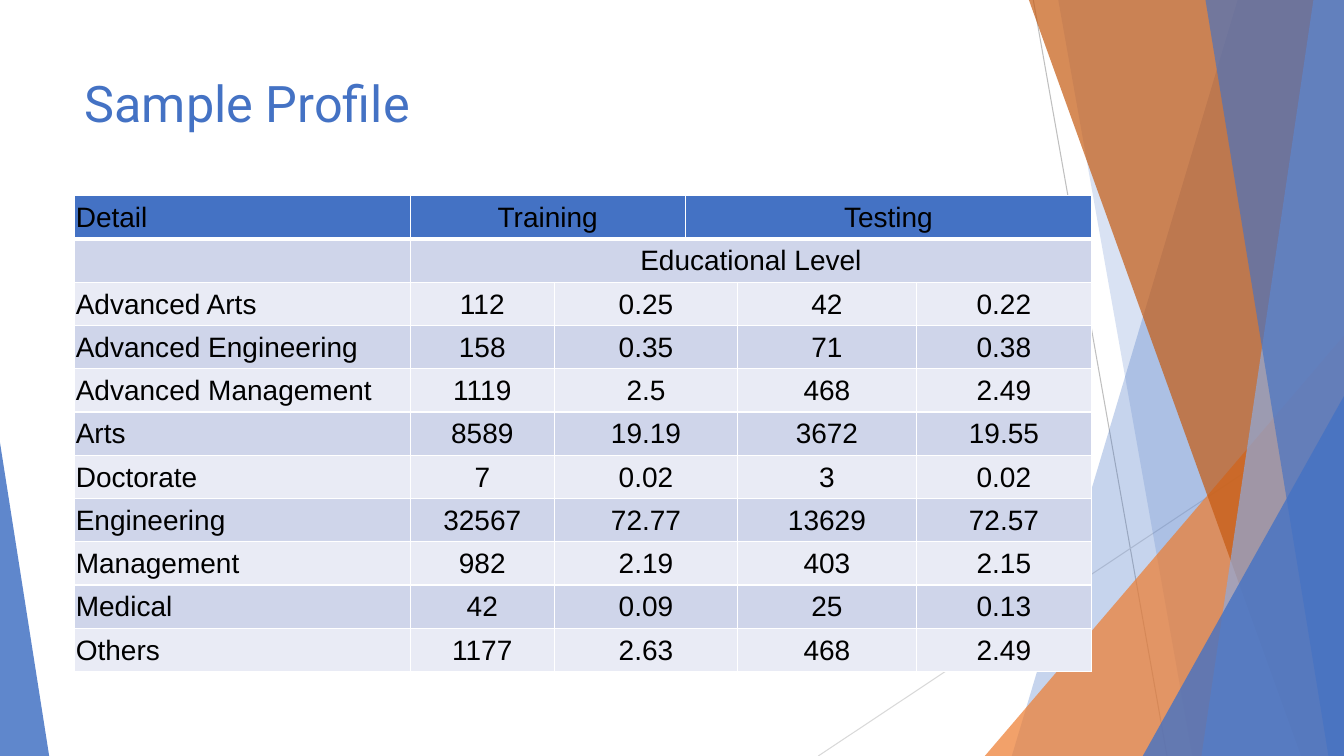
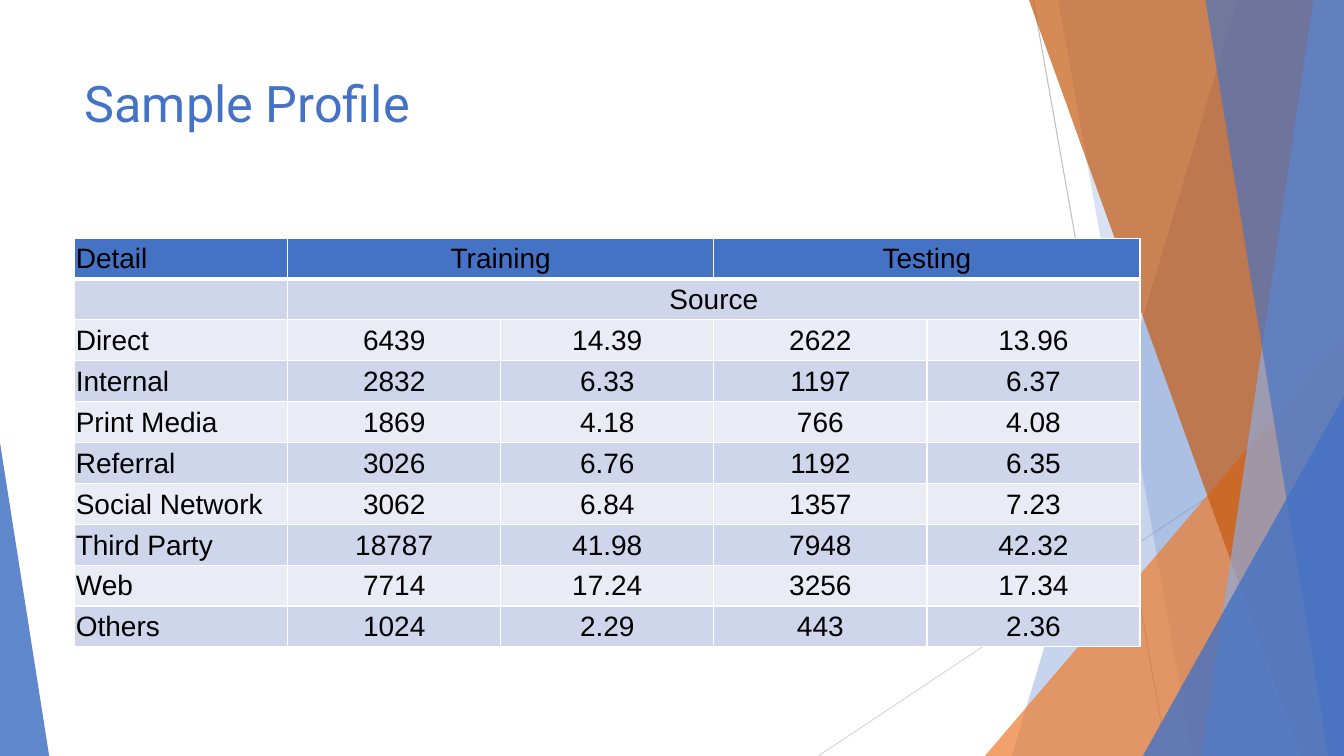
from itertools import pairwise

from lxml import etree
from pptx import Presentation
from pptx.dml.color import RGBColor
from pptx.enum.shapes import MSO_CONNECTOR, MSO_SHAPE
from pptx.enum.text import MSO_ANCHOR, PP_ALIGN
from pptx.oxml import parse_xml
from pptx.oxml.ns import nsdecls, qn
from pptx.util import Cm, Pt

STRAIGHT = MSO_CONNECTOR.STRAIGHT
TRIANGLE = MSO_SHAPE.ISOSCELES_TRIANGLE
TOP, MIDDLE = MSO_ANCHOR.TOP, MSO_ANCHOR.MIDDLE
LEFT, CENTER = PP_ALIGN.LEFT, PP_ALIGN.CENTER

BLACK = RGBColor(0x00, 0x00, 0x00)
BLUE = RGBColor(0x44, 0x72, 0xC4)
LIGHT_BLUE = RGBColor(0x8F, 0xAA, 0xDC)
ORANGE = RGBColor(0xED, 0x7D, 0x31)
DARK_ORANGE = RGBColor(0xC5, 0x5A, 0x11)
GREY = RGBColor(0xBF, 0xBF, 0xBF)
LIGHT_GREY = RGBColor(0xD9, 0xD9, 0xD9)
BAND_DARK = RGBColor(0xCF, 0xD5, 0xEA)
BAND_LIGHT = RGBColor(0xE9, 0xEB, 0xF5)

WIDTH, HEIGHT = 33.87, 19.05
MARGIN = 1.88

# Column starts tell where each cell of a row begins; it runs to the next start
profiles = [
    dict(
        title_height=1.98, top=4.93, row_height=1.09,
        widths=[8.46, 3.63, 3.3, 1.32, 4.5, 4.42],
        header_starts=[0, 1, 3], data_starts=[0, 1, 2, 4, 5],
        group="Educational Level",
        data=[
            ("Advanced Arts", "112", "0.25", "42", "0.22"),
            ("Advanced Engineering", "158", "0.35", "71", "0.38"),
            ("Advanced Management", "1119", "2.5", "468", "2.49"),
            ("Arts", "8589", "19.19", "3672", "19.55"),
            ("Doctorate", "7", "0.02", "3", "0.02"),
            ("Engineering", "32567", "72.77", "13629", "72.57"),
            ("Management", "982", "2.19", "403", "2.15"),
            ("Medical", "42", "0.09", "25", "0.13"),
            ("Others", "1177", "2.63", "468", "2.49"),
        ],
    ),
    dict(
        title_height=2.51, top=6, row_height=1.03,
        widths=[5.37] * 5,
        header_starts=[0, 1, 3], data_starts=[0, 1, 2, 3, 4],
        group="Source",
        data=[
            ("Direct", "6439", "14.39", "2622", "13.96"),
            ("Internal", "2832", "6.33", "1197", "6.37"),
            ("Print Media", "1869", "4.18", "766", "4.08"),
            ("Referral", "3026", "6.76", "1192", "6.35"),
            ("Social Network", "3062", "6.84", "1357", "7.23"),
            ("Third Party", "18787", "41.98", "7948", "42.32"),
            ("Web", "7714", "17.24", "3256", "17.34"),
            ("Others", "1024", "2.29", "443", "2.36"),
        ],
    ),
]


def paint(s, color, opacity):
    s.shadow.inherit = False
    s.fill.solid()
    s.fill.fore_color.rgb = color
    s.line.fill.background()
    rgb = s.element.xpath(".//a:srgbClr")[0]
    etree.SubElement(rgb, qn("a:alpha"), val=str(opacity * 1000))


def add_borders(cell, top, bottom):
    tcPr = cell._tc.get_or_add_tcPr()
    for side, points in (("L", 1), ("R", 1), ("T", top), ("B", bottom)):
        tcPr.append(parse_xml(
            f'<a:ln{side} {nsdecls("a")} w="{Pt(points)}"><a:solidFill>'
            f'<a:srgbClr val="FFFFFF"/></a:solidFill></a:ln{side}>'))


prs = Presentation()
prs.slide_width, prs.slide_height = Cm(WIDTH), Cm(HEIGHT)
layout = prs.slide_layouts[5]
slides = [prs.slides.add_slide(layout) for _ in profiles]
shapes = slides[0].shapes
decor = []

# Thin lines behind the ribbons
for x1, y1, x2, color in ((26.04, 0, 29.41, GREY), (WIDTH, 10.24, 20.62, LIGHT_GREY)):
    s = shapes.add_connector(STRAIGHT, Cm(x1), Cm(y1), Cm(x2), Cm(HEIGHT))
    s.line.color.rgb = color
    s.line.width = Pt(0.75)
    etree.SubElement(s.element.spPr, qn("a:effectLst"))
    decor.append(s)

# Ribbons reach the right edge: left x at the top, left x at the bottom.
# Triangles reach the bottom: left, top, right, side of the apex.
for kind, geometry, color, opacity in (
    ("ribbon", (31.19, 25.5), BLUE, 30),
    ("ribbon", (26.67, 30.05), BLUE, 20),
    ("triangle", (24.82, 8.46, WIDTH, 1), ORANGE, 72),
    ("ribbon", (25.93, 32.79), DARK_ORANGE, 70),
    ("ribbon", (33.1, 30.28), LIGHT_BLUE, 70),
    ("ribbon", (30.38, 33.48), BLUE, 65),
    ("triangle", (28.8, 9.98, WIDTH, 1), BLUE, 80),
    ("triangle", (0, 11.15, 1.24, 0), BLUE, 85),
):
    if kind == "ribbon":
        x_top, x_bottom = geometry
        outline = shapes.build_freeform(Cm(x_top), 0)
        outline.add_line_segments([(Cm(WIDTH), 0), (Cm(WIDTH), Cm(HEIGHT)),
                                   (Cm(x_bottom), Cm(HEIGHT))])
        s = outline.convert_to_shape()
    else:
        left, top, right, apex = geometry
        s = shapes.add_shape(TRIANGLE, Cm(left), Cm(top),
                             Cm(right - left), Cm(HEIGHT - top))
        s.adjustments[0] = apex
    paint(s, color, opacity)
    decor.append(s)

# Both slides share the decoration through the layout
for i, s in enumerate(decor):
    s.element.xpath(".//p:cNvPr")[0].set("id", str(100 + i))
    layout.shapes.element.insert(2 + i, s.element)

for slide, profile in zip(slides, profiles):
    # Title
    title = slide.shapes.title
    title.left, title.top = Cm(MARGIN), Cm(1.7)
    title.width, title.height = Cm(23.88), Cm(profile["title_height"])
    tf = title.text_frame
    tf.text = "Sample Profile"
    tf.vertical_anchor = TOP
    p = tf.paragraphs[0]
    p.alignment = LEFT
    font = p.runs[0].font
    font.name, font.size, font.color.rgb = "Roboto", Pt(36), BLUE

    # Table grid
    widths = profile["widths"]
    rows = [(profile["header_starts"], ("Detail", "Training", "Testing")),
            ([0, 1], ("", profile["group"]))]
    rows += [(profile["data_starts"], values) for values in profile["data"]]
    table = slide.shapes.add_table(
        len(rows), len(widths), Cm(MARGIN), Cm(profile["top"]),
        Cm(sum(widths)), Cm(profile["row_height"] * len(rows))).table
    table.first_row = table.horz_banding = False
    for column, width in zip(table.columns, widths):
        column.width = Cm(width)

    # Cell text, fills and borders
    for r, (starts, texts) in enumerate(rows):
        table.rows[r].height = Cm(profile["row_height"])
        for c in range(len(widths)):
            cell = table.cell(r, c)
            add_borders(cell, 3 if r == 1 else 1, 3 if r == 0 else 1)
            cell.fill.solid()
            cell.fill.fore_color.rgb = BLUE if r == 0 else (BAND_LIGHT, BAND_DARK)[r % 2]
            cell.margin_left = cell.margin_right = cell.margin_top = Cm(0.03)
            cell.margin_bottom = 0
            cell.vertical_anchor = MIDDLE
        for (c, end), text in zip(pairwise(starts + [len(widths)]), texts):
            cell = table.cell(r, c)
            if end - c > 1:
                cell.merge(table.cell(r, end - 1))
            cell.text = text
            p = cell.text_frame.paragraphs[0]
            p.alignment = CENTER if c else LEFT
            for run in p.runs:
                font = run.font
                font.name, font.size, font.color.rgb = "Arial", Pt(20), BLACK

prs.save("out.pptx")
